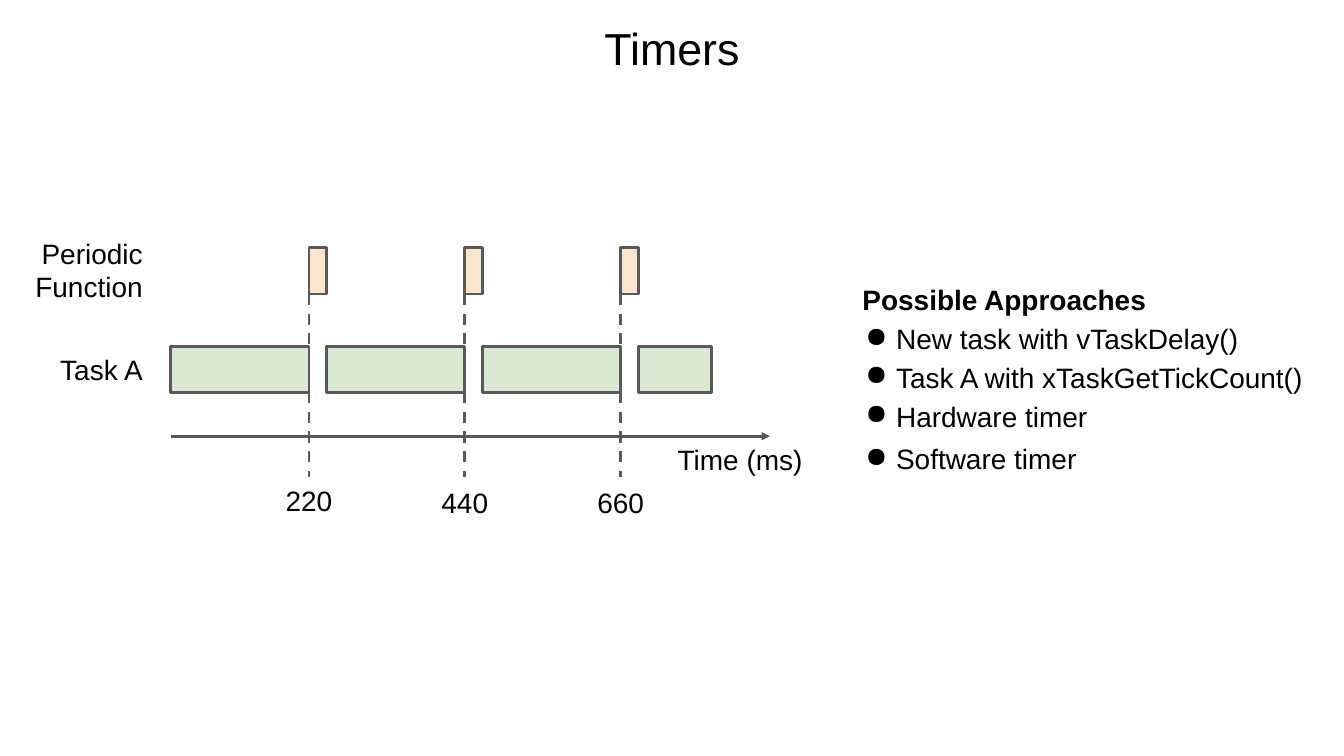
from lxml.etree import SubElement
from pptx import Presentation
from pptx.dml.color import RGBColor
from pptx.enum.dml import MSO_LINE
from pptx.enum.shapes import MSO_CONNECTOR, MSO_SHAPE
from pptx.enum.text import MSO_ANCHOR, PP_ALIGN
from pptx.oxml.ns import qn
from pptx.util import Pt


def color(value):
    return RGBColor.from_string(value)


def add_text(left, top, width, height, text, size=30, align=PP_ALIGN.CENTER, anchor=MSO_ANCHOR.TOP):
    box = slide.shapes.add_textbox(Pt(left), Pt(top), Pt(width), Pt(height))
    frame = box.text_frame
    frame.word_wrap = True
    frame.vertical_anchor = anchor
    frame.margin_left = frame.margin_right = Pt(7.2)
    frame.margin_top = frame.margin_bottom = Pt(7.2)
    frame.text = text
    for paragraph in frame.paragraphs:
        paragraph.alignment = align
        paragraph.font.name = "Arial"
        paragraph.font.size = Pt(size)
        paragraph.font.color.rgb = color("000000")
    return frame.paragraphs[0]


presentation = Presentation()
presentation.slide_width = Pt(1440)
presentation.slide_height = Pt(810)
slide = presentation.slides.add_slide(presentation.slide_layouts[6])

period = 167
task_start = 183
tick_start = 331
ticks = [tick_start + period * index for index in range(3)]

task_bars = [(task_start + period * index, 371, width, "D9EAD3")
             for index, width in enumerate([148, 148, 148, 78])]
function_bars = [(tick, 265, 19, "FCE5CD") for tick in ticks]
for left, top, width, fill in task_bars + function_bars:
    bar = slide.shapes.add_shape(MSO_SHAPE.RECTANGLE, Pt(left), Pt(top), Pt(width), Pt(50))
    bar.shadow.inherit = False
    bar.fill.solid()
    bar.fill.fore_color.rgb = color(fill)
    bar.line.color.rgb = color("595959")
    bar.line.width = Pt(3)

time_axis = (task_start, 467.3, 825, 467.3)
tick_lines = [(tick, 315, tick, 511) for tick in ticks]
for ends in [time_axis] + tick_lines:
    connector = slide.shapes.add_connector(MSO_CONNECTOR.STRAIGHT, *[Pt(end) for end in ends])
    connector.line.color.rgb = color("595959")
    connector.line.width = Pt(3)
    if ends == time_axis:
        SubElement(connector.line._get_or_add_ln(), qn("a:tailEnd"), type="triangle")
    else:
        connector.line.dash_style = MSO_LINE.DASH
    SubElement(connector._element.spPr, qn("a:effectLst"))

add_text(168, 15, 1104, 72, "Timers", size=48)
add_text(24, 246, 136, 86, "Periodic\nFunction", align=PP_ALIGN.RIGHT)
add_text(24, 370, 136, 50, "Task A", align=PP_ALIGN.RIGHT)
for tick, top, label in zip(ticks, [511, 513, 513], ["220", "440", "660"]):
    add_text(tick - 51.5, top, 103, 50, label, anchor=MSO_ANCHOR.MIDDLE)
add_text(716.5, 467.3, 153, 50, "Time (ms)", anchor=MSO_ANCHOR.MIDDLE)

heading = add_text(917, 290, 499, 56, "Possible Approaches", align=PP_ALIGN.LEFT)
heading.font.bold = True
heading.line_spacing = 1.15

approaches = [
    (332, "New task with vTaskDelay()"),
    (373.7, "Task A with xTaskGetTickCount()"),
    (415.5, "Hardware timer"),
    (461, "Software timer"),
]
for top, text in approaches:
    paragraph = add_text(917, top, 499, 56, text, align=PP_ALIGN.LEFT)
    paragraph.line_spacing = 1.15
    properties = paragraph._p.get_or_add_pPr()
    properties.set("marL", str(Pt(36)))
    properties.set("indent", str(Pt(-33)))
    bullet = SubElement(properties, qn("a:buChar"), char="●")
    properties.find(qn("a:defRPr")).addprevious(bullet)

presentation.save("out.pptx")
